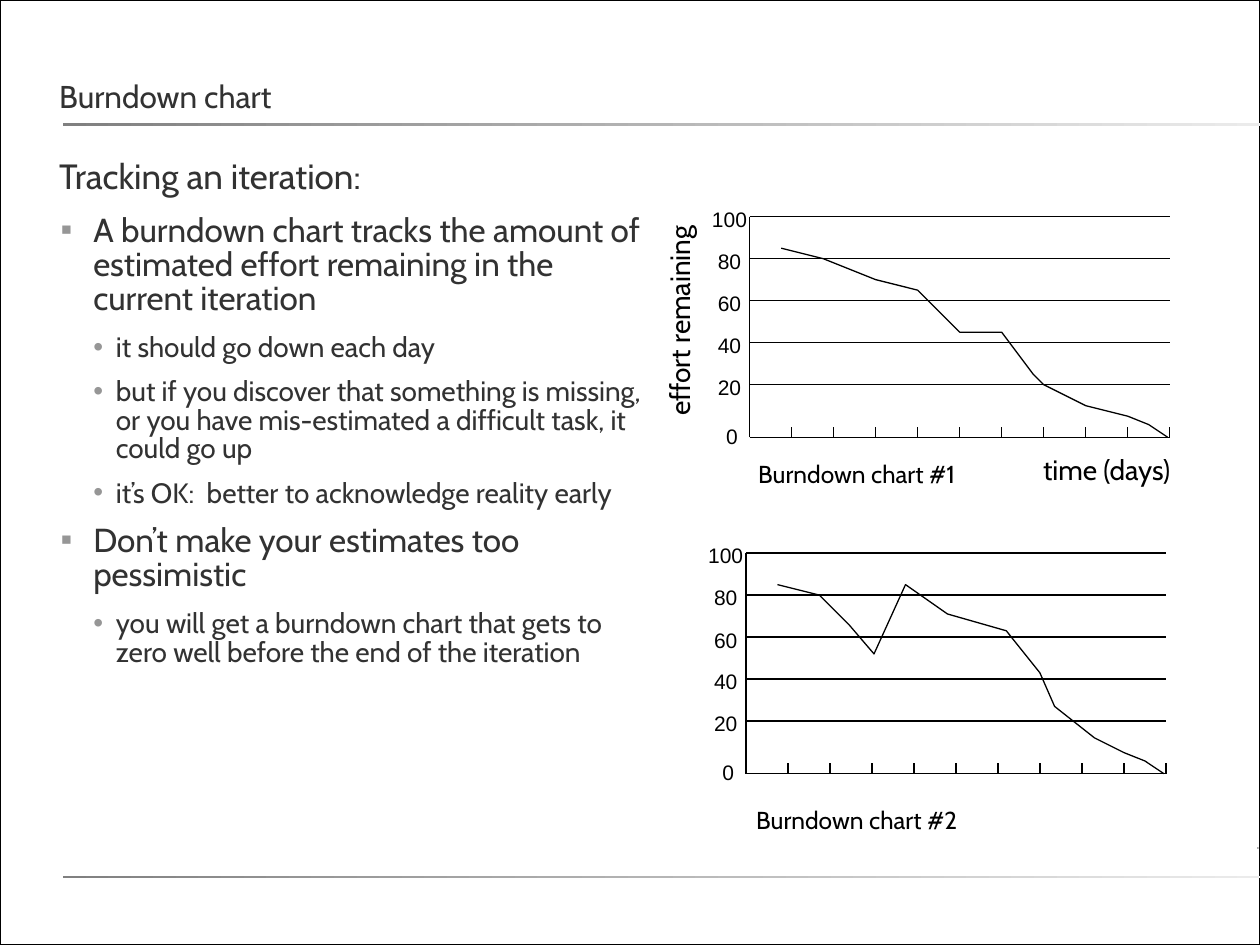
from lxml import etree
from pptx import Presentation
from pptx.dml.color import RGBColor
from pptx.enum.shapes import MSO_CONNECTOR, MSO_SHAPE
from pptx.enum.text import MSO_ANCHOR, MSO_AUTO_SIZE, PP_ALIGN
from pptx.oxml.ns import qn
from pptx.util import Inches, Pt

RECT, STRAIGHT = MSO_SHAPE.RECTANGLE, MSO_CONNECTOR.STRAIGHT
LEFT, CENTER = PP_ALIGN.LEFT, PP_ALIGN.CENTER
TOP, BOTTOM = MSO_ANCHOR.TOP, MSO_ANCHOR.BOTTOM
NO_FIT, GROW = MSO_AUTO_SIZE.NONE, MSO_AUTO_SIZE.SHAPE_TO_FIT_TEXT

INK, BLACK, BULLET = "323232", "000000", "969696"
STEP, DAYS, BASE_ROW, TICK = 1 / 3, 10, 5.25, 0.25
DIGIT = 0.1
LABELS = ["100", "80", "60", "40", "20"]

LEVELS = [
    {"margin": 0.18, "indent": 0, "bullet": None, "size": 20,
     "format": {"line_spacing": 0.8, "space_after": Pt(7.5)}},
    {"margin": 0.45, "indent": -0.26, "bullet": "▪", "size": 19,
     "format": {"line_spacing": 0.85, "space_before": Pt(3.5), "space_after": Pt(7.1)}},
    {"margin": 0.63, "indent": -0.18, "bullet": "•", "size": 16,
     "format": {"line_spacing": 0.85, "space_before": Pt(3), "space_after": Pt(6)}},
]
BODY = [
    (0, "Tracking an iteration:"),
    (1, "A burndown chart tracks the amount of estimated effort remaining "
        "in the current iteration"),
    (2, "it should go down each day"),
    (2, "but if you discover that something is missing, or you have "
        "mis-estimated a difficult task, it could go up"),
    (2, "it’s OK:  better to acknowledge reality early"),
    (1, "Don’t make your estimates too pessimistic"),
    (2, "you will get a burndown chart that gets to zero well before "
        "the end of the iteration"),
]
STEADY = [(0.75, 0.75), (1.75, 1), (3, 1.5), (4, 1.75), (5, 2.75), (6, 2.75),
          (6.75, 3.75), (7, 4), (8, 4.5), (9, 4.75), (9.5, 4.95), (9.95, 5.25)]
REVISED = [(0.75, 0.75), (1.75, 1), (2.45, 1.7), (3.05, 2.4), (3.8, 0.75),
           (4.8, 1.45), (6.2, 1.85), (7, 2.85), (7.35, 3.65), (8.3, 4.4),
           (9, 4.75), (9.5, 4.95), (9.95, 5.25)]


def rgb(value):
    """Return the colour for a hex string."""
    return RGBColor.from_string(value)


def apply(target, values):
    """Set every attribute in values on target."""
    for name, value in values.items():
        setattr(target, name, value)


def set_font(p, size, name="Cabin", color=BLACK):
    """Format the font of a paragraph's runs."""
    for r in p.runs:
        apply(r.font, {"size": Pt(size), "name": name})
        r.font.color.rgb = rgb(color)


def set_frame(tf, wrap, fit, anchor=TOP, inset=(0, 0)):
    """Set wrapping, fit, anchor and insets of a text frame."""
    x, y = (Inches(v) for v in inset)
    apply(tf, {"word_wrap": wrap, "auto_size": fit, "vertical_anchor": anchor,
               "margin_left": x, "margin_right": x, "margin_top": y, "margin_bottom": y})


def place(sp, left, top, width, height):
    """Move and size a shape in inches."""
    apply(sp, {"left": Inches(left), "top": Inches(top),
               "width": Inches(width), "height": Inches(height)})


def add_rule(slide, left, top, width, end):
    """Add a thin rule that fades to the end colour."""
    sp = slide.shapes.add_shape(RECT, *map(Inches, (left, top, width, 0.02)))
    sp.shadow.inherit = False
    sp.line.fill.background()
    sp.fill.gradient()
    sp.fill.gradient_angle = 0
    for stop, color in zip(sp.fill.gradient_stops, ("808080", end)):
        stop.color.rgb = rgb(color)


def add_frame(prs, slide):
    """Outline the slide."""
    sp = slide.shapes.add_shape(RECT, 0, 0, prs.slide_width, prs.slide_height)
    sp.shadow.inherit = False
    sp.fill.background()
    sp.line.color.rgb = rgb(BLACK)
    sp.line.width = Pt(1)


def add_line(shapes, x1, y1, x2, y2):
    """Add a thin black line."""
    s = shapes.add_connector(STRAIGHT, *map(Inches, (x1, y1, x2, y2)))
    s.line.color.rgb = rgb(BLACK)
    s.line.width = Pt(0.75)
    etree.SubElement(s._element.spPr, qn("a:effectLst"))


def add_label(shapes, text, center, top, width, height, size,
              font="Cabin", inset=(0, 0), align=CENTER):
    """Add a one-line label around a centre and return it."""
    sp = shapes.add_textbox(*map(Inches, (center - width / 2, top, width, height)))
    set_frame(sp.text_frame, False, GROW, inset=inset)
    p = sp.text_frame.paragraphs[0]
    p.text, p.alignment = text, align
    set_font(p, size, font)
    return sp


def add_curve(shapes, points):
    """Add an open line through points in inches."""
    pts = [(Inches(x), Inches(y)) for x, y in points]
    builder = shapes.build_freeform(*pts[0])
    builder.add_line_segments(pts[1:], close=False)
    sp = builder.convert_to_shape()
    sp.shadow.inherit = False
    sp.fill.background()
    sp.line.color.rgb = rgb(BLACK)
    sp.line.width = Pt(0.75)


def add_burndown(slide, left, top, points, caption, caption_top):
    """Draw a burndown diagram and return its group's shapes."""
    shapes = slide.shapes.add_group_shape().shapes
    right, base = left + DAYS * STEP, top + BASE_ROW * STEP
    add_line(shapes, left, base, right, base)
    add_line(shapes, left, top, left, base)
    for day in range(1, DAYS + 1):
        x = left + day * STEP
        add_line(shapes, x, base, x, base - TICK * STEP)
    for row, text in enumerate(LABELS):
        y = top + row * STEP
        add_line(shapes, left, y, right, y)
        add_label(shapes, text, left - 0.16, y - 0.08, DIGIT * len(text), 0.2, 12, "Arial")
    add_label(shapes, "0", left - 0.14, base - 0.11, DIGIT, 0.2, 12, "Arial")
    add_curve(shapes, [(left + x * STEP, top + y * STEP) for x, y in points])
    add_label(shapes, caption, 6.8, caption_top, 1.77, 0.23, 14)
    return shapes


def fill_title(sp, text):
    """Fill the title placeholder."""
    place(sp, 0.47, 0.08, 9.03, 0.83)
    set_frame(sp.text_frame, True, NO_FIT, BOTTOM)
    p = sp.text_frame.paragraphs[0]
    p.text = text
    apply(p, {"alignment": LEFT, "line_spacing": Pt(26)})
    set_font(p, 18, color=INK)


def set_bullet(p, margin, indent, char):
    """Set the indent and bullet of a paragraph."""
    pPr = p._p.get_or_add_pPr()
    pPr.set("marL", str(Inches(margin)))
    pPr.set("indent", str(Inches(indent)))
    if char is None:
        etree.SubElement(pPr, qn("a:buNone"))
        return
    color = etree.SubElement(pPr, qn("a:buClr"))
    etree.SubElement(color, qn("a:srgbClr"), val=BULLET)
    etree.SubElement(pPr, qn("a:buChar"), char=char)


def fill_body(sp, items):
    """Fill the body placeholder with levelled paragraphs."""
    place(sp, 0.29, 1.29, 4.93, 4.95)
    tf = sp.text_frame
    set_frame(tf, True, NO_FIT)
    for i, (level, text) in enumerate(items):
        p = tf.add_paragraph() if i else tf.paragraphs[0]
        style = LEVELS[level]
        p.text, p.level = text, level
        set_bullet(p, style["margin"], style["indent"], style["bullet"])
        apply(p, {"alignment": LEFT, "space_before": Pt(0), **style["format"]})
        set_font(p, style["size"], color=INK)


def main():
    """Build the slide."""
    prs = Presentation()
    prs.slide_width, prs.slide_height = Inches(10), Inches(7.5)
    slide = prs.slides.add_slide(prs.slide_layouts[1])
    slide.background.fill.solid()
    slide.background.fill.fore_color.rgb = rgb("FFFFFF")
    add_frame(prs, slide)
    add_rule(slide, 9.98, 6.72, 0.01, "D7D7D7")
    for top in (0.98, 6.95):
        add_rule(slide, 0.5, top, 9.5, "EBEBEB")
    fill_title(slide.shapes.title, "Burndown chart")
    fill_body(slide.placeholders[1], BODY)
    add_burndown(slide, 5.92, 4.39, REVISED, "Burndown chart #2", 6.39)
    shapes = add_burndown(slide, 5.95, 1.72, STEADY, "Burndown chart #1", 3.64)
    inset = (0.1, 0.05)
    add_label(shapes, "effort remaining", 5.39, 2.36, 1.91, 0.37, 16, inset=inset).rotation = 270
    add_label(shapes, "time (days)", 8.85, 3.54, 1.34, 0.37, 16, inset=inset, align=LEFT)
    prs.save("out.pptx")


if __name__ == "__main__":
    main()
